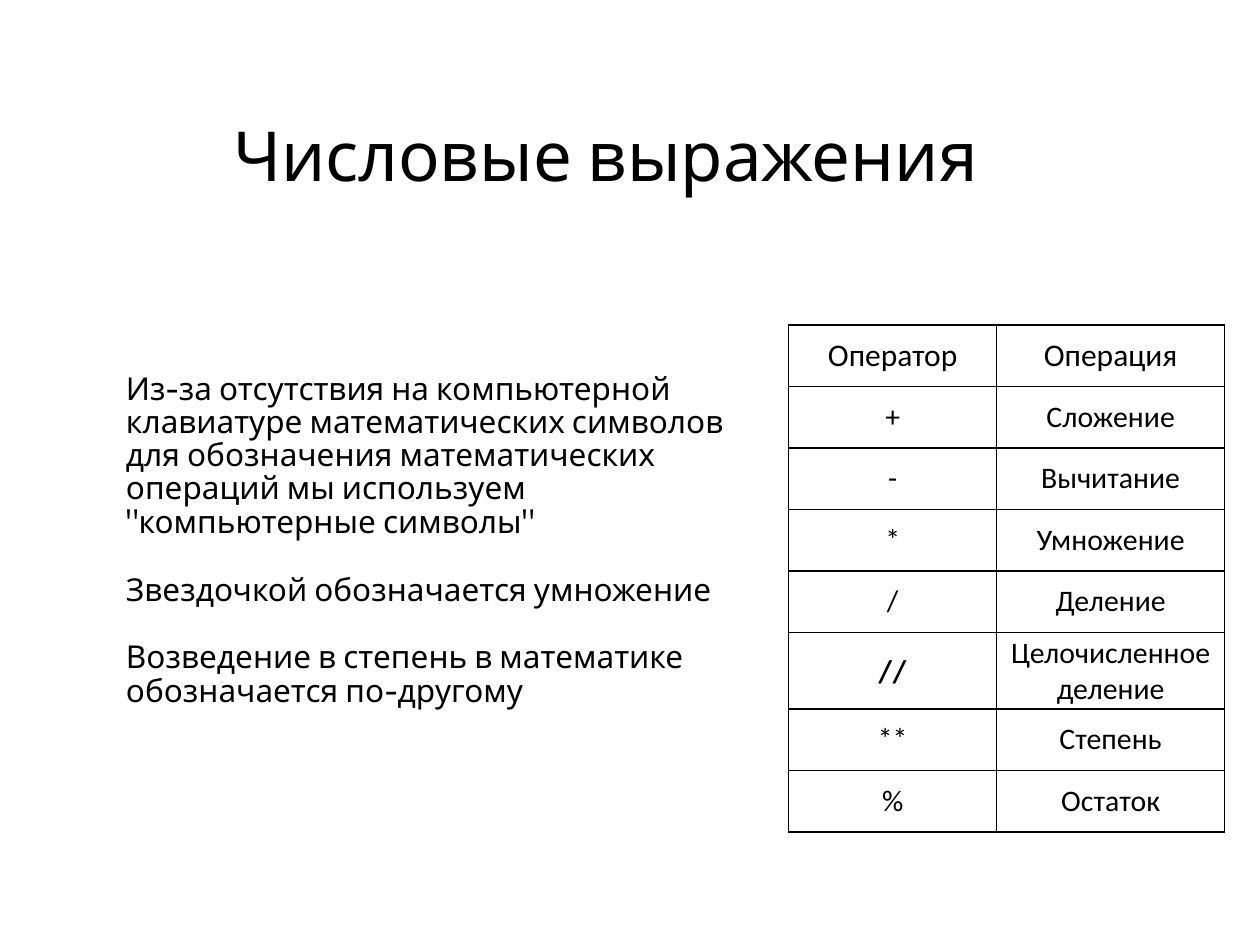
"""Build a slide on numeric expressions with a table of operators."""
from dataclasses import dataclass

from lxml import etree
from pptx import Presentation, util as u
from pptx.dml.color import RGBColor
from pptx.enum import text
from pptx.oxml import ns

BLACK = RGBColor(0, 0, 0)
HEADING_FONT = "Cabin"
TABLE_FONT = "Calibri"
INSET = u.Cm(0.05)
ROW_HEIGHT = u.Cm(1.24)
COLUMN_WIDTHS = (u.Cm(4.19), u.Cm(4.6))


@dataclass(frozen=True)
class Operation:
    """One table row: an operator, its meaning and its format."""
    symbol: str
    name: str
    size: float = 17
    symbol_font: str = TABLE_FONT


@dataclass(frozen=True)
class TextBlock:
    """Paragraphs of one text box with its place and format in cm and points."""
    paragraphs: tuple[str, ...]
    left: float
    top: float
    width: float
    height: float
    size: float
    align: text.PP_ALIGN = text.PP_ALIGN.LEFT
    indent: float = 0
    gap: float = 0
    spacing: float = 1


BLOCKS = (
    TextBlock(("Числовые выражения",), 1.32, 1.32, 21.77, 3.58, 39.4,
              align=text.PP_ALIGN.CENTER),
    TextBlock((
        "Из-за отсутствия на компьютерной клавиатуре математических символов "
        "для обозначения математических операций мы используем "
        '"компьютерные символы"',
        "Звездочкой обозначается умножение",
        "Возведение в степень в математике обозначается по-другому",
    ), 1.32, 6.45, 14.1, 8.92, 18, indent=1.17, gap=19.7, spacing=0.88),
)

OPERATIONS = (
    Operation("Оператор", "Операция", size=18),
    Operation("+", "Сложение"),
    Operation("-", "Вычитание"),
    Operation("*", "Умножение"),
    Operation("/", "Деление"),
    Operation("//", "Целочисленное деление", symbol_font=HEADING_FONT),
    Operation("**", "Степень"),
    Operation("%", "Остаток"),
)


def write(para, content: str, *, size: float, font: str,
          align=text.PP_ALIGN.LEFT, indent: float = 0,
          gap: float = 0, spacing: float = 1) -> None:
    """Write one formatted span into a paragraph."""
    para.alignment = align
    para.line_spacing = spacing
    para.space_before = u.Pt(gap)
    if indent:
        para._p.get_or_add_pPr().set("marL", str(int(u.Cm(indent))))
    span = para.add_run()
    span.text = content
    span.font.size = u.Pt(size)
    span.font.name = font
    span.font.color.rgb = BLACK


def add_block(page, block: TextBlock) -> None:
    """Add a text box with its paragraphs."""
    box = page.shapes.add_textbox(u.Cm(block.left), u.Cm(block.top),
                                  u.Cm(block.width), u.Cm(block.height))
    frame = box.text_frame
    frame.word_wrap = True
    frame.vertical_anchor = text.MSO_ANCHOR.MIDDLE
    frame.margin_left = frame.margin_right = INSET
    frame.margin_top = frame.margin_bottom = INSET
    for index, content in enumerate(block.paragraphs):
        para = frame.add_paragraph() if index else frame.paragraphs[0]
        write(para, content, size=block.size, font=HEADING_FONT,
              align=block.align, indent=block.indent,
              gap=block.gap if index else 0, spacing=block.spacing)


def add_borders(cell) -> None:
    """Draw a thin black line on each side of a cell."""
    properties = cell._tc.get_or_add_tcPr()
    for side in ("lnL", "lnR", "lnT", "lnB"):
        line = etree.SubElement(properties, ns.qn(f"a:{side}"),
                                w=str(int(u.Pt(1))))
        fill = etree.SubElement(line, ns.qn("a:solidFill"))
        etree.SubElement(fill, ns.qn("a:srgbClr"), val=str(BLACK))


def fill_cell(cell, content: str, size: float, font: str) -> None:
    """Format a cell and write its centred text."""
    add_borders(cell)
    cell.fill.background()
    cell.vertical_anchor = text.MSO_ANCHOR.MIDDLE
    cell.margin_left = cell.margin_right = INSET
    cell.margin_top = cell.margin_bottom = INSET
    write(cell.text_frame.paragraphs[0], content, size=size, font=font,
          align=text.PP_ALIGN.CENTER)


def add_operations(page, operations: tuple[Operation, ...]) -> None:
    """Add the table of operators."""
    table = page.shapes.add_table(
        len(operations), len(COLUMN_WIDTHS), u.Cm(15.9), u.Cm(6.55),
        sum(COLUMN_WIDTHS), ROW_HEIGHT * len(operations)).table
    table.first_row = table.horz_banding = False
    for column, width in zip(table.columns, COLUMN_WIDTHS):
        column.width = width
    for row, operation in zip(table.rows, operations):
        row.height = ROW_HEIGHT
        symbol, name = row.cells
        fill_cell(symbol, operation.symbol, operation.size,
                  operation.symbol_font)
        fill_cell(name, operation.name, operation.size, TABLE_FONT)


def main() -> None:
    """Build and save the deck."""
    deck = Presentation()
    deck.slide_width, deck.slide_height = u.Cm(25.4), u.Cm(19.05)
    page = deck.slides.add_slide(deck.slide_layouts[6])
    for block in BLOCKS:
        add_block(page, block)
    add_operations(page, OPERATIONS)
    deck.save("out.pptx")


if __name__ == "__main__":
    main()
